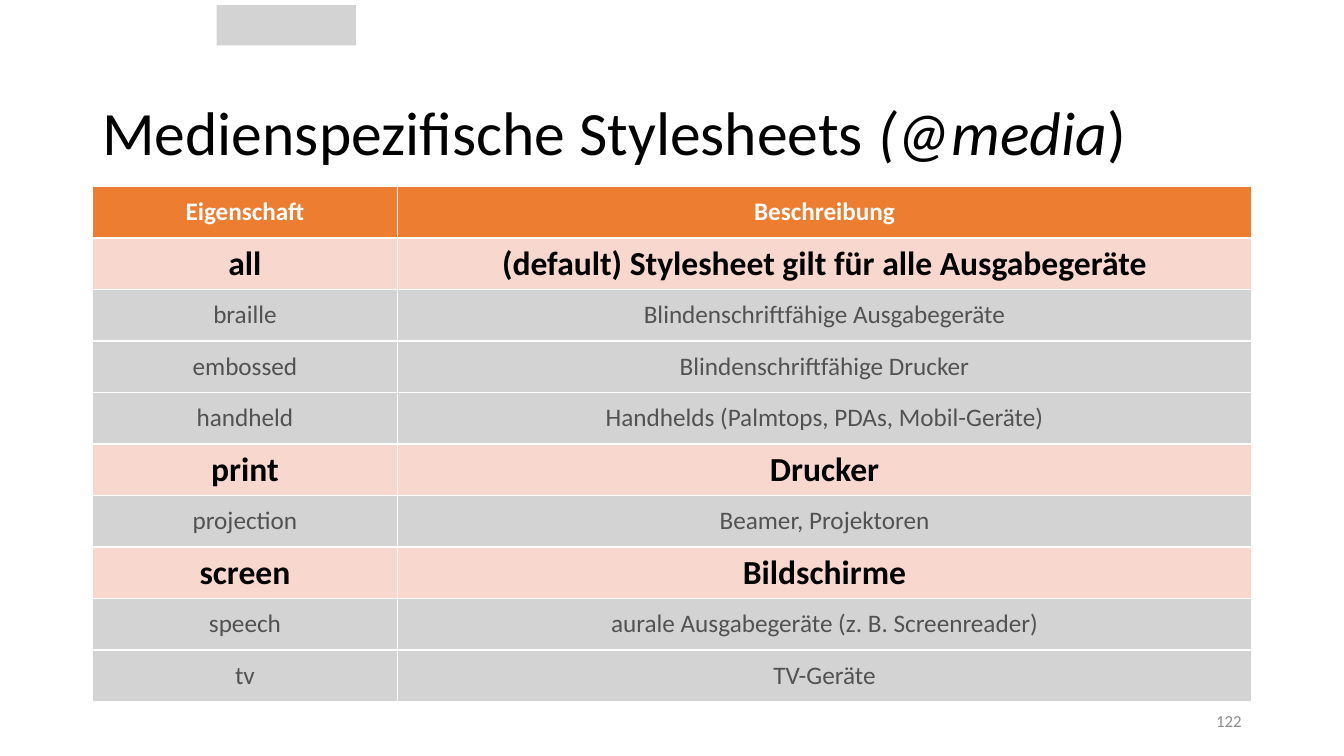
"""Build a slide with a table of CSS media types."""
from dataclasses import dataclass

from pptx import Presentation
from pptx import util as u
from pptx.dml.color import RGBColor
from pptx.enum import shapes, text

COLORS = {
    "black": "000000", "white": "FFFFFF", "orange": "ED7D31", "salmon": "F8D7CE",
    "gray": "D4D3D3", "dark_gray": "525252", "number_gray": "8C8C8C",
}
FONT = "Calibri"
LEFT, WIDTH = 66, 828


@dataclass(frozen=True)
class RowStyle:
    fill: str
    color: str
    size: float
    bold: bool


@dataclass(frozen=True)
class MediaRow:
    name: str
    description: str
    style: RowStyle


HEADER = RowStyle("orange", "white", 18, True)
KEY = RowStyle("salmon", "black", 24, True)
MINOR = RowStyle("gray", "dark_gray", 18, False)

ROWS = [
    MediaRow("Eigenschaft", "Beschreibung", HEADER),
    MediaRow("all", "(default) Stylesheet gilt für alle Ausgabegeräte", KEY),
    MediaRow("braille", "Blindenschriftfähige Ausgabegeräte", MINOR),
    MediaRow("embossed", "Blindenschriftfähige Drucker", MINOR),
    MediaRow("handheld", "Handhelds (Palmtops, PDAs, Mobil-Geräte)", MINOR),
    MediaRow("print", "Drucker", KEY),
    MediaRow("projection", "Beamer, Projektoren", MINOR),
    MediaRow("screen", "Bildschirme", KEY),
    MediaRow("speech", "aurale Ausgabegeräte (z. B. Screenreader)", MINOR),
    MediaRow("tv", "TV-Geräte", MINOR),
]


def rgb(name: str) -> RGBColor:
    return RGBColor.from_string(COLORS[name])


def set_font(paragraph, size: float, color: str, bold: bool = False) -> None:
    font = paragraph.font
    font.name, font.size, font.bold = FONT, u.Pt(size), bold
    font.color.rgb = rgb(color)


def add_text_frame(slide, left: float, top: float, width: float, height: float):
    box = slide.shapes.add_textbox(u.Pt(left), u.Pt(top), u.Pt(width), u.Pt(height))
    frame = box.text_frame
    frame.word_wrap = True
    frame.vertical_anchor = text.MSO_ANCHOR.MIDDLE
    return frame


def add_header_block(slide) -> None:
    block = slide.shapes.add_shape(
        shapes.MSO_SHAPE.RECTANGLE, u.Pt(154.8), u.Pt(3.6), u.Pt(99.4), u.Pt(28.8))
    block.shadow.inherit = False
    block.fill.solid()
    block.fill.fore_color.rgb = rgb("gray")
    block.line.fill.background()


def add_title(slide) -> None:
    frame = add_text_frame(slide, LEFT, 36, WIDTH, 97.2)
    frame.margin_top = u.Pt(28)
    paragraph = frame.paragraphs[0]
    paragraph.line_spacing = 0.9
    set_font(paragraph, 44, "black")
    for words, italic in (("Medienspezifische Stylesheets ", False),
                          ("(@media", True), (")", False)):
        run = paragraph.add_run()
        run.text = words
        run.font.italic = italic


def add_slide_number(slide) -> None:
    paragraph = add_text_frame(slide, 678, 500.4, 216, 28.8).paragraphs[0]
    paragraph.text = "122"
    paragraph.alignment = text.PP_ALIGN.RIGHT
    set_font(paragraph, 12, "number_gray")


def add_media_table(slide, rows: list[MediaRow]) -> None:
    table = slide.shapes.add_table(
        len(rows), 2, u.Pt(LEFT), u.Pt(133.2), u.Pt(WIDTH), u.Pt(36.8 * len(rows))).table
    name_width = 218
    table.columns[0].width = u.Pt(name_width)
    table.columns[1].width = u.Pt(WIDTH - name_width)
    for index, row in enumerate(rows):
        style = row.style
        for column, words in enumerate((row.name, row.description)):
            cell = table.cell(index, column)
            cell.fill.solid()
            cell.fill.fore_color.rgb = rgb(style.fill)
            cell.vertical_anchor = text.MSO_ANCHOR.MIDDLE
            paragraph = cell.text_frame.paragraphs[0]
            paragraph.text = words
            paragraph.alignment = text.PP_ALIGN.CENTER
            set_font(paragraph, style.size, style.color, style.bold)


def main() -> None:
    presentation = Presentation()
    presentation.slide_width, presentation.slide_height = u.Pt(960), u.Pt(540)
    slide = presentation.slides.add_slide(presentation.slide_layouts[6])
    add_header_block(slide)
    add_title(slide)
    add_slide_number(slide)
    add_media_table(slide, ROWS)
    presentation.save("out.pptx")


if __name__ == "__main__":
    main()
